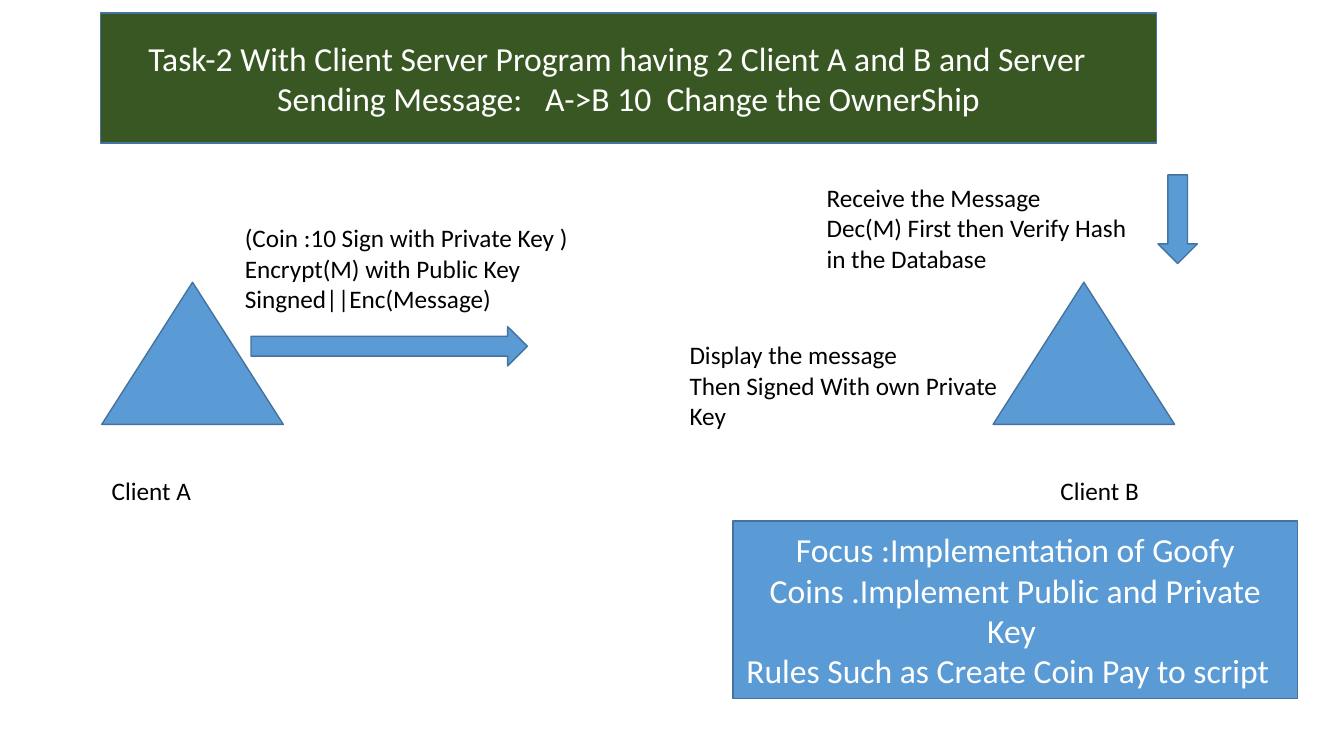
from pptx import Presentation
from pptx import util as u
from pptx.dml.color import RGBColor
from pptx.enum import shapes, text

COLORS = {
    "blue": "5B9BD5",
    "outline": "43739E",
    "green": "385723",
    "white": "FFFFFF",
    "black": "000000",
}
FONT = "Calibri"
SHAPE = shapes.MSO_SHAPE


def rgb(name):
    return RGBColor.from_string(COLORS[name])


def write(tf, lines, size, color, align):
    """Fill a text frame with one paragraph per line."""
    tf.text = "\n".join(lines)
    for p in tf.paragraphs:
        p.alignment = align
        for r in p.runs:
            r.font.name = FONT
            r.font.size = u.Pt(size)
            r.font.color.rgb = rgb(color)


def add_figure(s, kind, box, fill="blue", rotation=0):
    sp = s.shapes.add_shape(kind, *map(u.Inches, box))
    sp.shadow.inherit = False
    sp.fill.solid()
    sp.fill.fore_color.rgb = rgb(fill)
    sp.line.color.rgb = rgb("outline")
    sp.line.width = u.Pt(1)
    sp.rotation = rotation
    return sp


def add_banner(s, box, lines, fill):
    tf = add_figure(s, SHAPE.RECTANGLE, box, fill).text_frame
    tf.word_wrap = True
    tf.vertical_anchor = text.MSO_ANCHOR.MIDDLE
    write(tf, lines, 24, "white", text.PP_ALIGN.CENTER)


def add_label(s, box, *lines):
    tf = s.shapes.add_textbox(*map(u.Inches, box)).text_frame
    tf.word_wrap = False
    tf.auto_size = text.MSO_AUTO_SIZE.SHAPE_TO_FIT_TEXT
    write(tf, lines, 18, "black", text.PP_ALIGN.LEFT)


def main():
    prs = Presentation()
    prs.slide_width = u.Inches(13.33)
    prs.slide_height = u.Inches(7.5)
    s = prs.slides.add_slide(prs.slide_layouts[6])

    # Clients with their names
    for name, left, label_left in (("A", 1.01, 1.01), ("B", 9.85, 10.42)):
        add_figure(s, SHAPE.ISOSCELES_TRIANGLE, (left, 2.8, 1.8, 1.41))
        add_label(s, (label_left, 4.67, 1.06, 0.4), f"Client {name}")

    # Title
    add_banner(s, (1, 0.13, 10.47, 1.29), (
        "Task-2 With Client Server Program having 2 Client A and B and Server   ",
        "Sending Message:   A->B 10  Change the OwnerShip",
    ), "green")

    # Sending step of client A
    add_figure(s, SHAPE.RIGHT_ARROW, (2.49, 3.24, 2.74, 0.39))
    add_label(s, (2.33, 2.16, 3.5, 1.01),
              "(Coin :10 Sign with Private Key )",
              "Encrypt(M) with Public Key",
              "Singned||Enc(Message)")

    # Receiving steps of client B
    add_figure(s, SHAPE.RIGHT_ARROW, (11.24, 1.98, 0.88, 0.39), rotation=90)
    add_label(s, (8.1, 1.76, 3.27, 1.01),
              "Receive the Message",
              "Dec(M) First then Verify Hash",
              "in the Database")
    add_label(s, (6.74, 3.32, 3.35, 1.01),
              "Display the message",
              "Then Signed With own Private",
              "Key")

    # Focus of the task
    add_banner(s, (7.27, 5.17, 5.6, 1.76), (
        "Focus :Implementation of Goofy Coins .Implement Public and Private Key ",
        "Rules Such as Create Coin Pay to script  ",
    ), "blue")

    prs.save("out.pptx")


if __name__ == "__main__":
    main()
